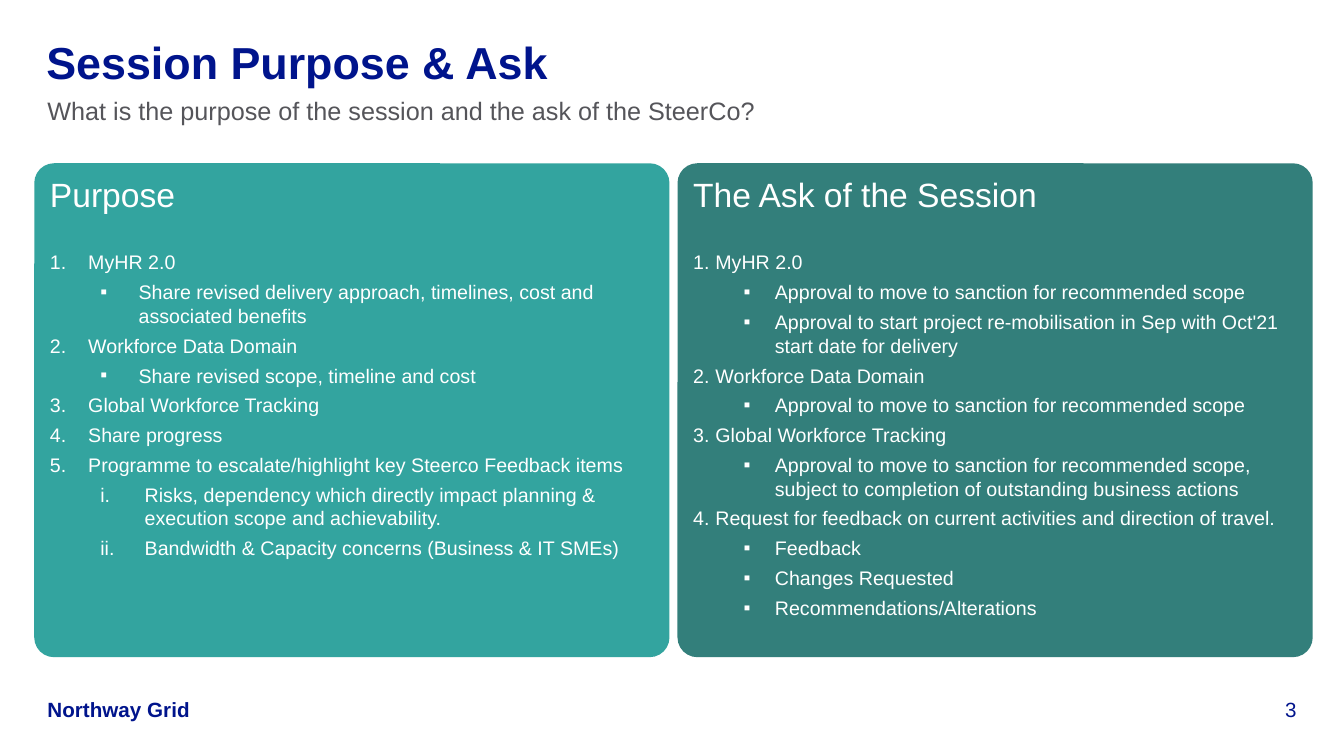
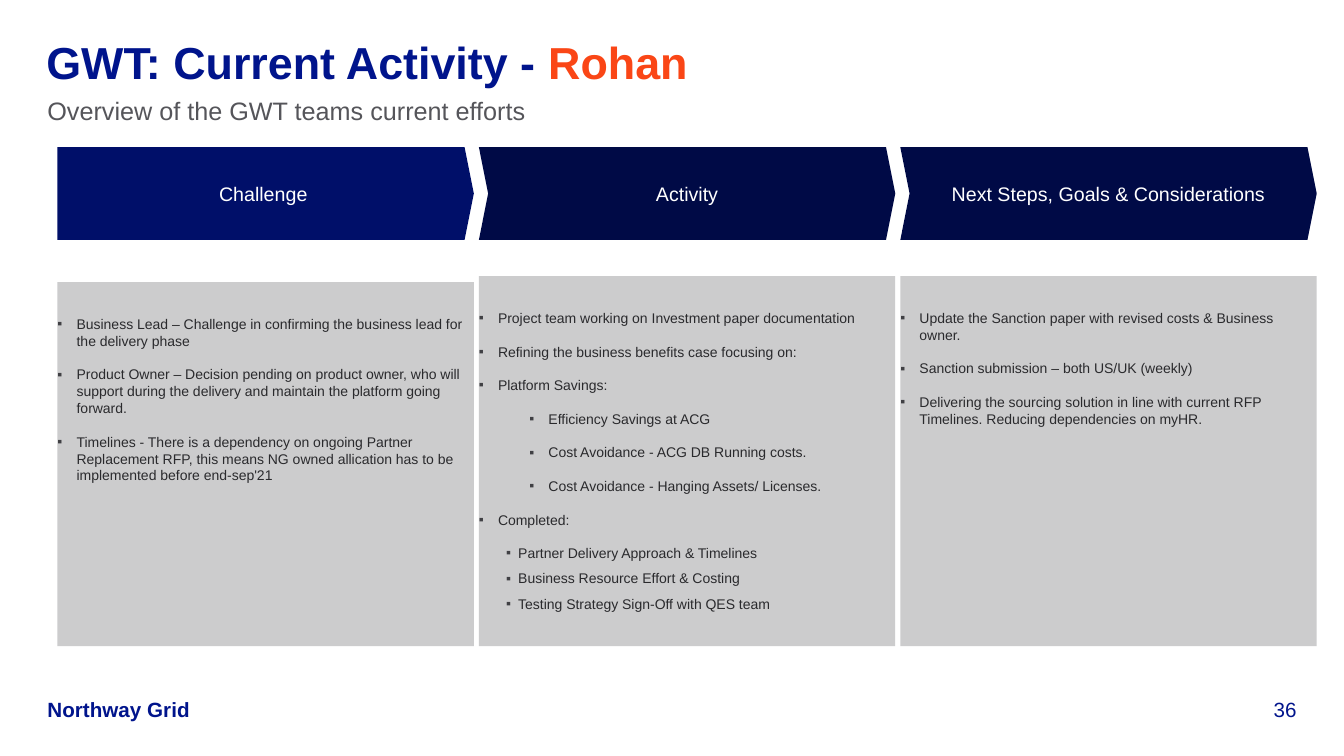
import pptx
import pptx.util
import pptx.dml.color
import pptx.enum.shapes
import pptx.enum.text
import pptx.oxml
import pptx.oxml.ns
from dataclasses import dataclass

Inches = pptx.util.Inches
Pt = pptx.util.Pt
Shape = pptx.enum.shapes.MSO_SHAPE
Align = pptx.enum.text.PP_ALIGN
Anchor = pptx.enum.text.MSO_ANCHOR


@dataclass(frozen=True)
class Theme:
    font: str = "Arial"
    navy: str = "00148C"
    orange: str = "FA4616"
    grey: str = "55555A"
    white: str = "FFFFFF"
    teal: str = "008E87"
    pine: str = "005F5A"
    blue: str = "000F69"
    night: str = "000A46"
    panel: str = "CCCCCD"
    ink: str = "2A2A2D"
    mark: str = "404044"
    title: float = 32
    head: float = 24
    sub: float = 18
    foot: float = 14.7
    body: float = 14
    small: float = 10
    lead: float = 1.0


@dataclass(frozen=True)
class Item:
    left: float
    hang: float
    after: float
    level: int = 0
    num: str = ""
    tint: str = ""


theme = Theme()
STEP = Item(0.38, 0.38, 4.5, num="arabicPeriod")
ASK = Item(0.22, 0.22, 4.5, num="arabicPeriod")
ROMAN = Item(0.94, 0.44, 4.5, 1, "romanLcPeriod")
SHARE = Item(0.88, 0.38, 4.5, 1)
GRANT = Item(0.81, 0.31, 4.5, 1)
POINT = Item(0.19, 0.19, 12, tint=theme.mark)
DEEP = Item(0.69, 0.19, 12, 1, tint=theme.mark)
DONE = Item(0.39, 0.12, 6, tint=theme.mark)


class Deck:
    """Holds the style and the current slide."""

    def __init__(self, style):
        self.style = style
        self.file = pptx.Presentation()
        self.file.slide_width = Inches(13.33)
        self.file.slide_height = Inches(7.5)
        self.slide = None

    def frame(self, shape, anchor=Anchor.TOP, inset=(0, 0, 0, 0)):
        text = shape.text_frame
        text.word_wrap = True
        text.auto_size = pptx.enum.text.MSO_AUTO_SIZE.NONE
        text.vertical_anchor = anchor
        (text.margin_left, text.margin_top,
         text.margin_right, text.margin_bottom) = map(Inches, inset)
        return text

    def para(self, text, first=False, align=Align.LEFT, after=0):
        para = text.paragraphs[0] if first else text.add_paragraph()
        para.alignment = align
        para.line_spacing = self.style.lead
        para.space_before = Pt(0)
        para.space_after = Pt(after)
        return para

    def run(self, para, words, size, color, bold=False):
        run = para.add_run()
        run.text = words
        run.font.name = self.style.font
        run.font.size = Pt(size)
        run.font.bold = bold
        run.font.color.rgb = pptx.dml.color.RGBColor.from_string(color)

    def bullet(self, para, item):
        para.level = item.level
        props = para._p.get_or_add_pPr()
        props.set("marL", str(Inches(item.left)))
        props.set("indent", str(-Inches(item.hang)))
        space = pptx.oxml.ns.nsdecls("a")
        parts = [f'<a:buFont {space} typeface="{self.style.font}"/>']
        if item.tint:
            parts.insert(0, f'<a:buClr {space}><a:srgbClr val="{item.tint}"/></a:buClr>')
        if item.num:
            parts.append(f'<a:buAutoNum {space} type="{item.num}"/>')
        else:
            parts.append(f'<a:buChar {space} char="▪"/>')
        for part in parts:
            props.append(pptx.oxml.parse_xml(part))

    def items(self, text, rows, size, color, fresh=True):
        for index, (item, words) in enumerate(rows):
            para = self.para(text, fresh and index == 0, after=item.after)
            self.bullet(para, item)
            self.run(para, words, size, color)

    def label(self, box, words, size, color, bold=False,
              align=Align.LEFT, anchor=Anchor.TOP):
        shape = self.slide.shapes.add_textbox(*map(Inches, box))
        para = self.para(self.frame(shape, anchor), True, align)
        self.run(para, words, size, color, bold)

    def shape(self, kind, box, color, round=None, alpha=None):
        shape = self.slide.shapes.add_shape(kind, *map(Inches, box))
        shape.shadow.inherit = False
        shape.fill.solid()
        shape.fill.fore_color.rgb = pptx.dml.color.RGBColor.from_string(color)
        shape.line.fill.background()
        if round is not None:
            shape.adjustments[0] = round
        if alpha is not None:
            tone = shape.fill._xPr.find(".//" + pptx.oxml.ns.qn("a:srgbClr"))
            tone.append(pptx.oxml.parse_xml(
                f'<a:alpha {pptx.oxml.ns.nsdecls("a")} val="{alpha * 1000}"/>'))
        return shape

    def page(self, title, sub, number):
        style = self.style
        self.slide = self.file.slides.add_slide(self.file.slide_layouts[5])
        head = self.slide.shapes.title
        head.left, head.top, head.width, head.height = map(
            Inches, (0.46, 0.34, 9.55, 0.5))
        para = self.para(self.frame(head), True)
        for words, color in title:
            self.run(para, words, style.title, color, True)
        self.label((0.47, 0.95, 12.15, 0.3), sub, style.sub, style.grey)
        self.label((0.47, 6.91, 3, 0.25), "Northway Grid", style.foot,
                   style.navy, True, anchor=Anchor.BOTTOM)
        self.label((12.08, 6.91, 0.78, 0.25), number, style.foot,
                   style.navy, align=Align.RIGHT, anchor=Anchor.BOTTOM)

    def card(self, left, color, head, rows):
        style = self.style
        shape = self.shape(Shape.ROUNDED_RECTANGLE, (left, 1.62, 6.3, 4.9),
                           color, 0.04, 80)
        text = self.frame(shape, inset=(0.1, 0.05, 0.1, 0.05))
        para = self.para(text, True, after=25.75)
        self.run(para, head, style.head, style.white)
        self.items(text, rows, style.body, style.white, False)

    def stage(self, kind, left, color, words):
        style = self.style
        shape = self.shape(kind, (left, 1.46, 4.13, 0.92), color, 0.1)
        text = self.frame(shape, Anchor.MIDDLE, (0.1, 0.05, 0.1, 0.05))
        para = self.para(text, True, Align.CENTER, 4.5)
        self.run(para, words, style.body, style.white)

    def panel(self, left, top, rows):
        style = self.style
        shape = self.shape(Shape.RECTANGLE, (left, top, 4.13, 6.41 - top), style.panel)
        text = self.frame(shape, inset=(0, 0.33, 0, 0))
        self.items(text, rows, style.small, style.ink)


def purpose(deck):
    deck.page([("Session Purpose & Ask", theme.navy)],
              "What is the purpose of the session and the ask of the SteerCo?", "3")
    deck.card(0.34, theme.teal, "Purpose", [
        (STEP, "MyHR 2.0"),
        (SHARE, "Share revised delivery approach, timelines, cost and associated benefits"),
        (STEP, "Workforce Data Domain"),
        (SHARE, "Share revised scope, timeline and cost"),
        (STEP, "Global Workforce Tracking"),
        (STEP, "Share progress"),
        (STEP, "Programme to escalate/highlight key Steerco Feedback items"),
        (ROMAN, "Risks, dependency which directly impact planning & execution scope "
                "and achievability."),
        (ROMAN, "Bandwidth & Capacity concerns (Business & IT SMEs)"),
    ])
    deck.card(6.72, theme.pine, "The Ask of the Session", [
        (ASK, "MyHR 2.0"),
        (GRANT, "Approval to move to sanction for recommended scope"),
        (GRANT, "Approval to start project re-mobilisation in Sep with Oct'21 "
                "start date for delivery"),
        (ASK, "Workforce Data Domain"),
        (GRANT, "Approval to move to sanction for recommended scope"),
        (ASK, "Global Workforce Tracking"),
        (GRANT, "Approval to move to sanction for recommended scope, subject to "
                "completion of outstanding business actions"),
        (ASK, "Request for feedback on current activities and direction of travel."),
        (GRANT, "Feedback"),
        (GRANT, "Changes Requested"),
        (GRANT, "Recommendations/Alterations"),
    ])


def status(deck):
    deck.page([("GWT: Current Activity - ", theme.navy), ("Rohan", theme.orange)],
              "Overview of the GWT teams current efforts", "36")
    stages = [
        (Shape.PENTAGON, theme.blue, "Challenge", 2.8, [
            (POINT, "Business Lead – Challenge in confirming the business lead "
                    "for the delivery phase"),
            (POINT, "Product Owner – Decision pending on product owner, who will "
                    "support during the delivery and maintain the platform going forward."),
            (POINT, "Timelines - There is a dependency on ongoing Partner "
                    "Replacement RFP, this means NG owned allication has to be "
                    "implemented before end-sep'21"),
        ]),
        (Shape.CHEVRON, theme.night, "Activity", 2.74, [
            (POINT, "Project team working on Investment paper documentation"),
            (POINT, "Refining the business benefits case focusing on:"),
            (POINT, "Platform Savings:"),
            (DEEP, "Efficiency Savings at ACG"),
            (DEEP, "Cost Avoidance - ACG DB Running costs."),
            (DEEP, "Cost Avoidance - Hanging Assets/ Licenses."),
            (POINT, "Completed:"),
            (DONE, "Partner Delivery Approach & Timelines"),
            (DONE, "Business Resource Effort & Costing"),
            (DONE, "Testing Strategy Sign-Off with QES team"),
        ]),
        (Shape.CHEVRON, theme.night, "Next Steps, Goals & Considerations", 2.74, [
            (POINT, "Update the Sanction paper with revised costs & Business owner."),
            (POINT, "Sanction submission – both US/UK (weekly)"),
            (POINT, "Delivering the sourcing solution in line with current RFP "
                    "Timelines. Reducing dependencies on myHR."),
        ]),
    ]
    for index, (kind, color, words, top, rows) in enumerate(stages):
        left = 0.57 + 4.18 * index
        deck.stage(kind, left, color, words)
        deck.panel(left, top, rows)


def main():
    deck = Deck(theme)
    purpose(deck)
    status(deck)
    deck.file.save("out.pptx")


if __name__ == "__main__":
    main()
